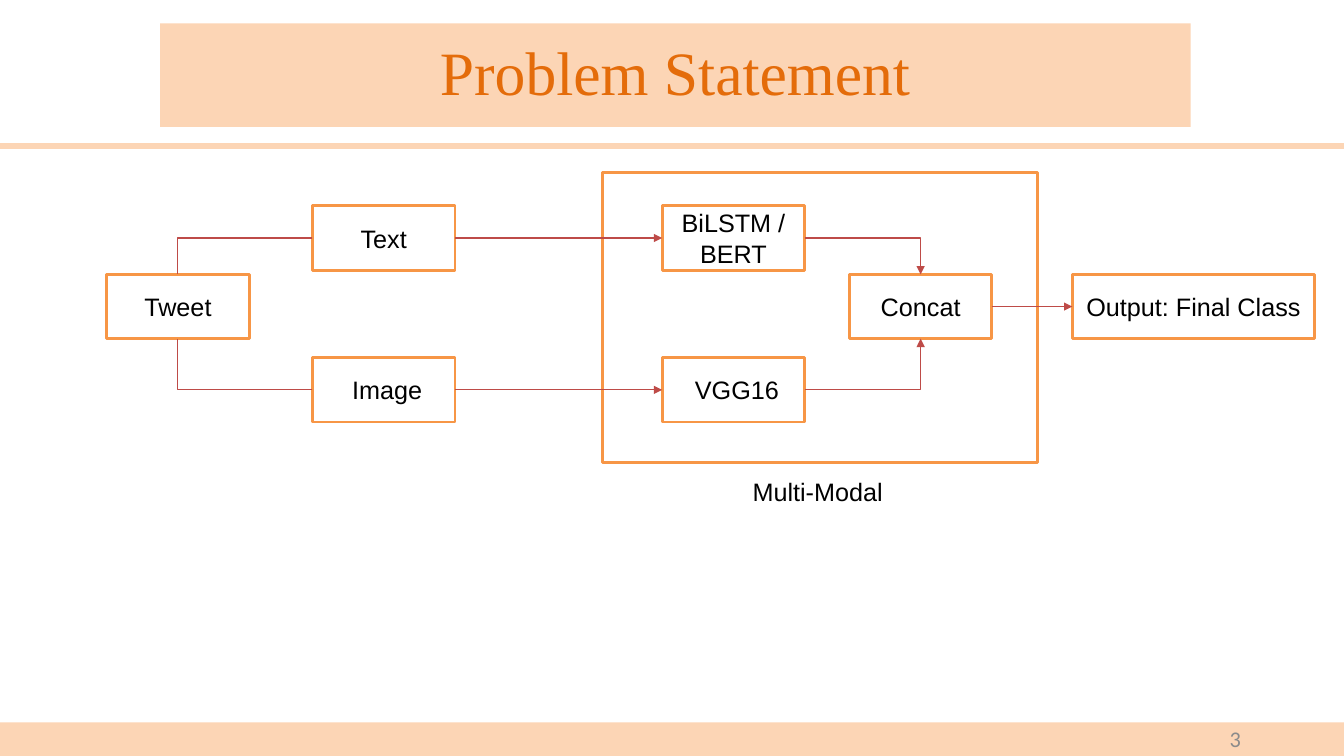
import dataclasses

import lxml.etree
import pptx
import pptx.dml.color
import pptx.enum.shapes
import pptx.enum.text
import pptx.oxml.ns
import pptx.util

Pt = pptx.util.Pt
qn = pptx.oxml.ns.qn
ALIGN = pptx.enum.text.PP_ALIGN
ANCHOR = pptx.enum.text.MSO_ANCHOR
CONNECTOR = pptx.enum.shapes.MSO_CONNECTOR
RECTANGLE = pptx.enum.shapes.MSO_SHAPE.RECTANGLE

SLIDE_W, SLIDE_H = 960, 540
TOP, LEFT, BOTTOM, RIGHT = range(4)  # connection sites of a rectangle


@dataclasses.dataclass(frozen=True)
class Theme:
    band: str = "FCD5B5"
    title: str = "E46C0A"
    outline: str = "F79646"
    link: str = "BE4B48"
    paper: str = "FFFFFF"
    ink: str = "000000"
    muted: str = "8B8B8B"
    title_font: str = "Times New Roman"
    body_font: str = "Arial"
    number_font: str = "Calibri"
    title_size: float = 44
    body_size: float = 18
    number_size: float = 16
    outline_width: float = 2
    link_width: float = 0.75
    rule_width: float = 4.5


THEME = Theme()


def rgb(value):
    return pptx.dml.color.RGBColor.from_string(value)


def write(shape, text, font, size, color, align=ALIGN.CENTER, anchor=ANCHOR.MIDDLE):
    frame = shape.text_frame
    frame.word_wrap = True
    frame.vertical_anchor = anchor
    paragraph = frame.paragraphs[0]
    paragraph.text = text
    paragraph.alignment = align
    paragraph.font.name = font
    paragraph.font.size = Pt(size)
    paragraph.font.color.rgb = rgb(color)
    return paragraph


def add_panel(slide, box, fill, outline=None):
    panel = slide.shapes.add_shape(RECTANGLE, *map(Pt, box))
    panel.shadow.inherit = False
    panel.fill.solid()
    panel.fill.fore_color.rgb = rgb(fill)
    if outline:
        panel.line.color.rgb = rgb(outline)
        panel.line.width = Pt(THEME.outline_width)
    else:
        panel.line.fill.background()
    return panel


def add_line(slide, kind, ends, color, width):
    line = slide.shapes.add_connector(kind, *map(Pt, ends))
    line.line.color.rgb = rgb(color)
    line.line.width = Pt(width)
    lxml.etree.SubElement(line.element.spPr, qn("a:effectLst"))
    return line


def add_link(slide, source, source_site, target, target_site, arrow=True):
    """Join two stages; a link between unlike sides turns one corner."""
    corner = {source_site, target_site} != {LEFT, RIGHT}
    kind = CONNECTOR.ELBOW if corner else CONNECTOR.STRAIGHT
    link = add_line(slide, kind, (0, 0, 0, 0), THEME.link, THEME.link_width)
    link.begin_connect(source, source_site)
    link.end_connect(target, target_site)
    properties = link.element.spPr
    if corner:
        properties.find(qn("a:prstGeom")).set("prst", "bentConnector2")
    if arrow:
        lxml.etree.SubElement(properties.find(qn("a:ln")), qn("a:tailEnd"), type="triangle")


def build_header(slide, box):
    left, top, width, height = box
    banner = add_panel(slide, (left + 114.5, top + 16.6, 736, 74), THEME.band)
    title = write(banner, "Problem Statement", THEME.title_font, THEME.title_size, THEME.title)
    title.line_spacing = 0.9
    rule_y = top + height
    add_line(slide, CONNECTOR.STRAIGHT, (left, rule_y, left + width, rule_y),
             THEME.band, THEME.rule_width)


def build_diagram(slide, box):
    left, top, width, height = box
    stage_w, stage_h = 101.8, 46
    text_row, middle_row, image_row = top + 24, top + 73, top + 132.5
    source_x, input_x, encoder_x, concat_x = (left + dx for dx in (0, 147, 396.8, 530.5))
    output_w = 173
    caption_h = 29

    def add_stage(label, x, y, w=stage_w):
        stage = add_panel(slide, (x, y, w, stage_h), THEME.paper, THEME.outline)
        write(stage, label, THEME.body_font, THEME.body_size, THEME.ink)
        return stage

    # Frame around the multi-modal model, with its caption
    add_panel(slide, (left + 354.3, top, 310.5, 207.5), THEME.paper, THEME.outline)
    caption = slide.shapes.add_textbox(
        Pt(left + 454.3), Pt(top + height - caption_h), Pt(147), Pt(caption_h))
    write(caption, "Multi-Modal", THEME.body_font, THEME.body_size, THEME.ink,
          ALIGN.LEFT, ANCHOR.TOP)

    # Stages that both branches share
    tweet = add_stage("Tweet", source_x, middle_row)
    concat = add_stage("Concat", concat_x, middle_row)
    output = add_stage("Output: Final Class", left + width - output_w, middle_row, output_w)

    # Text branch above, image branch below
    for modality, encoder, row, side in (
        ("Text", "BiLSTM / BERT", text_row, TOP),
        (" Image", " VGG16", image_row, BOTTOM),
    ):
        modality_stage = add_stage(modality, input_x, row)
        encoder_stage = add_stage(encoder, encoder_x, row)
        add_link(slide, modality_stage, LEFT, tweet, side, arrow=False)
        add_link(slide, modality_stage, RIGHT, encoder_stage, LEFT)
        add_link(slide, encoder_stage, RIGHT, concat, side)
    add_link(slide, concat, RIGHT, output, LEFT)


def build_footer(slide, box):
    left, top, width, height = box
    add_panel(slide, box, THEME.band)
    number = slide.shapes.add_textbox(Pt(left + 678), Pt(top - 2.6), Pt(215.5), Pt(28))
    write(number, "3", THEME.number_font, THEME.number_size, THEME.muted, ALIGN.RIGHT)


def main():
    deck = pptx.Presentation()
    deck.slide_width, deck.slide_height = Pt(SLIDE_W), Pt(SLIDE_H)
    slide = deck.slides.add_slide(deck.slide_layouts[6])
    build_footer(slide, (0, 516, SLIDE_W, 24))
    build_header(slide, (0, 0, SLIDE_W, 104.4))
    build_diagram(slide, (76.2, 123, 862.8, 243))
    deck.save("out.pptx")


if __name__ == "__main__":
    main()
